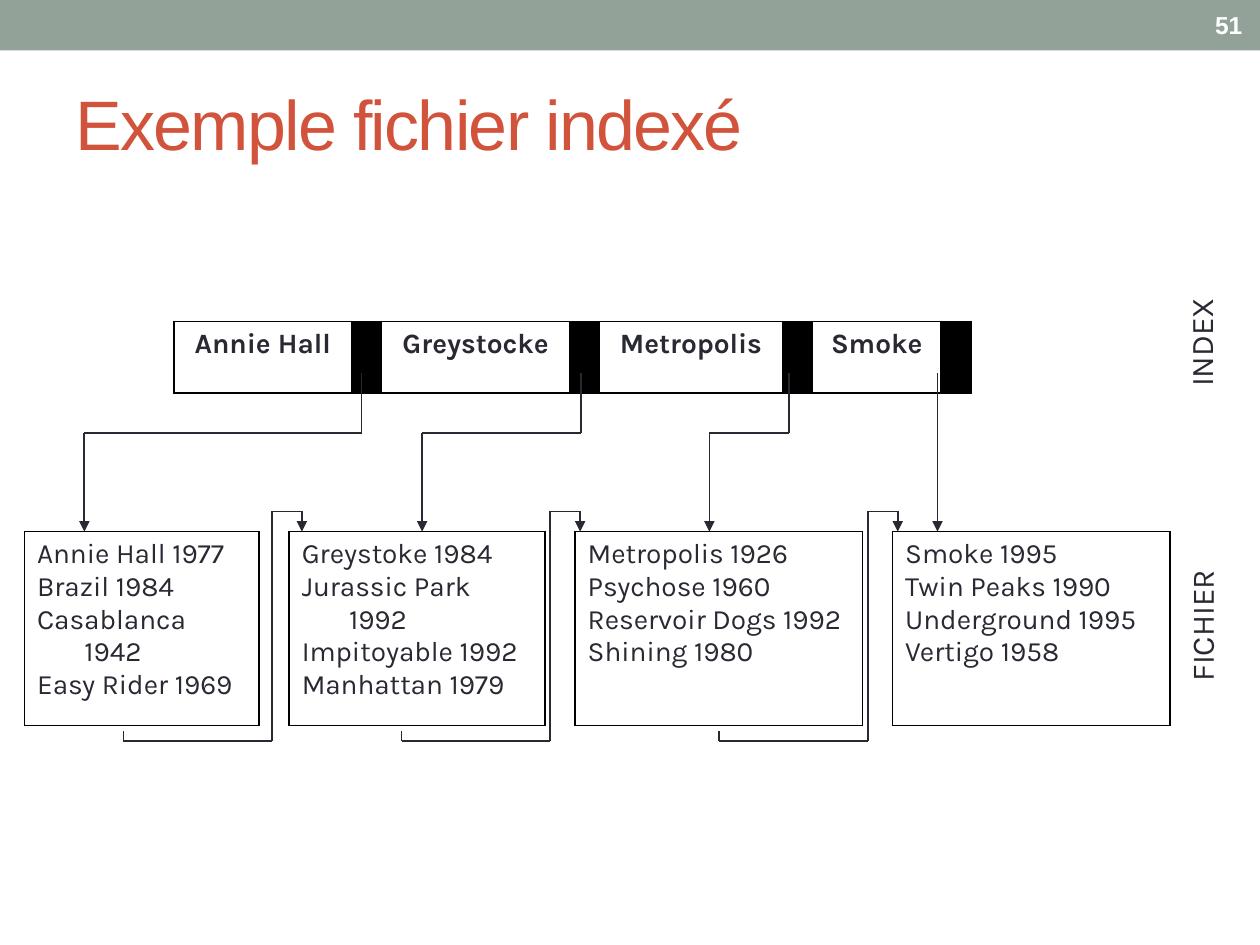
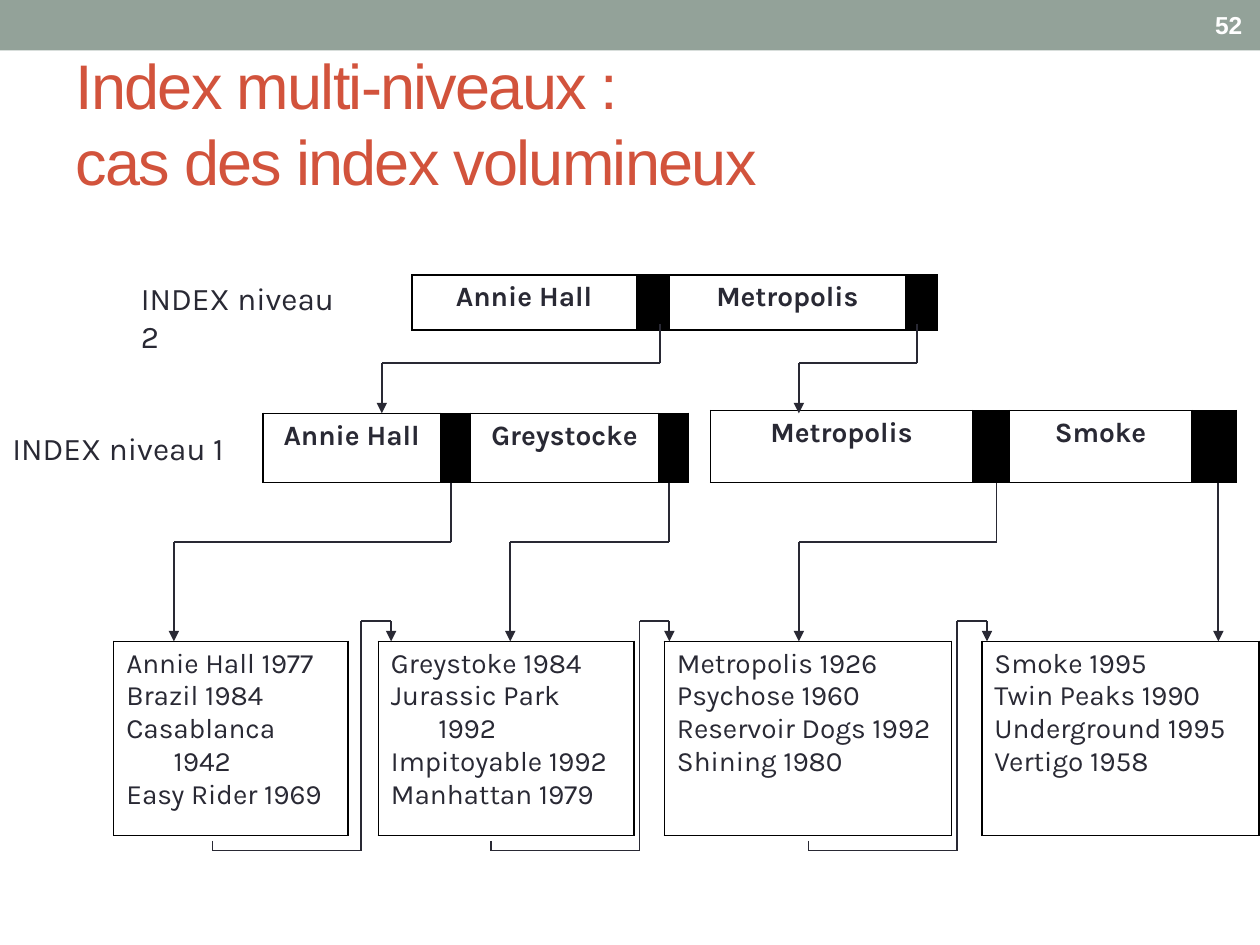
from dataclasses import dataclass
from lxml.etree import SubElement as Sub
from pptx import Presentation
from pptx.dml.color import RGBColor as Rgb
from pptx.enum.shapes import MSO_CONNECTOR as Link, MSO_SHAPE as Kind
from pptx.enum.text import MSO_ANCHOR as Anchor, MSO_AUTO_SIZE as Fit, PP_ALIGN as Align
from pptx.oxml.ns import qn
from pptx.util import Pt


@dataclass(frozen=True)
class Theme:
    band: str = "93A299"
    title: str = "D2533C"
    ink: str = "292934"
    black: str = "000000"
    white: str = "FFFFFF"
    head: str = "Arial"
    body: str = "Karla"
    cell: int = 16
    label: int = 18
    number: int = 14
    hang: int = 27


T = Theme()
FILMS = [
    ["Annie Hall 1977", "Brazil 1984", "Casablanca 1942", "Easy Rider 1969"],
    ["Greystoke 1984", "Jurassic Park 1992", "Impitoyable 1992", "Manhattan 1979"],
    ["Metropolis 1926", "Psychose 1960", "Reservoir Dogs 1992", "Shining 1980"],
    ["Smoke 1995", "Twin Peaks 1990", "Underground 1995", "Vertigo 1958"],
]
WIDTHS = [134, 146.2, 164.2, 158.4]
GAP = 16.6
FILE_HIGH = 110.9


def write(frame, lines, size, color=T.ink, font=T.body, bold=False,
          align=Align.LEFT, hang=0, space=0):
    for i, line in enumerate(lines):
        para = frame.add_paragraph() if i else frame.paragraphs[0]
        para.text = line
        para.alignment = align
        if hang:
            props = para._p.get_or_add_pPr()
            props.set("marL", str(Pt(hang)))
            props.set("indent", str(-Pt(hang)))
        for run in para.runs:
            run.font.name = font
            run.font.size = Pt(size)
            run.font.bold = bold
            run.font.color.rgb = Rgb.from_string(color)
            if space:
                run._r.get_or_add_rPr().set("spc", str(space * 100))
        for stop in para._p.findall(qn("a:br")):
            Sub(stop, qn("a:rPr"), sz=str(size * 100))


def label(slide, text, x, y, w, h, turn=0, wrap=False, right=7.2,
          anchor=Anchor.TOP, **form):
    box = slide.shapes.add_textbox(Pt(x), Pt(y), Pt(w), Pt(h))
    box.rotation = turn
    frame = box.text_frame
    frame.word_wrap = wrap
    frame.margin_right = Pt(right)
    frame.vertical_anchor = anchor
    write(frame, [text], **form)


def start(deck, title, size, number):
    slide = deck.slides.add_slide(deck.slide_layouts[5])
    band = slide.shapes.add_shape(Kind.RECTANGLE, 0, 0, Pt(720), Pt(28.8))
    band.shadow.inherit = False
    band.fill.solid()
    band.fill.fore_color.rgb = Rgb.from_string(T.band)
    band.line.fill.background()
    head = slide.shapes.title
    head.left, head.top, head.width, head.height = Pt(36), Pt(31), Pt(648), Pt(78)
    head.text_frame.auto_size = Fit.NONE
    head.text_frame.vertical_anchor = Anchor.MIDDLE
    write(head.text_frame, [title], size, T.title, T.head, space=-1)
    label(slide, str(number), 633, 1.4, 84, 26, anchor=Anchor.MIDDLE, wrap=True,
          size=T.number, color=T.white, font=T.head, bold=True, align=Align.RIGHT)
    return slide


def edge(cell, sides):
    props = cell._tc.get_or_add_tcPr()
    for i, side in enumerate("LRTB"):
        line = props.makeelement(qn("a:ln" + side), {"w": str(Pt(1))})
        if side in sides:
            fill = Sub(line, qn("a:solidFill"))
            Sub(fill, qn("a:srgbClr"), val=T.black)
        else:
            Sub(line, qn("a:noFill"))
        props.insert(i, line)


def grid(slide, x, y, cols, high):
    shape = slide.shapes.add_table(1, len(cols), Pt(x), Pt(y), Pt(sum(cols)), Pt(high))
    table = shape.table
    table.first_row = table.horz_banding = False
    table.rows[0].height = Pt(high)
    for col, wide in zip(table.columns, cols):
        col.width = Pt(wide)
    for cell in table.rows[0].cells:
        cell.fill.background()
    return list(table.rows[0].cells)


def index(slide, x, y, cols, high, keys):
    cells = grid(slide, x, y, cols, high)
    for key, cell in zip(keys, cells[::2]):
        write(cell.text_frame, [key], T.cell, bold=True, align=Align.CENTER, hang=T.hang)
    for cell in cells[1::2]:
        cell.fill.solid()
        cell.fill.fore_color.rgb = Rgb.from_string(T.black)
    for cell in cells:
        edge(cell, "LRTB")


def route(slide, *points):
    for i, (a, b) in enumerate(zip(points, points[1:]), 2):
        line = slide.shapes.add_connector(Link.STRAIGHT, *map(Pt, a + b))
        line.line.color.rgb = Rgb.from_string(T.ink)
        line.line.width = Pt(1)
        props = line._element.spPr
        if i == len(points):
            Sub(props.find(qn("a:ln")), qn("a:tailEnd"), type="triangle")
        Sub(props, qn("a:effectLst"))


def drop(slide, pairs, top, bend, end):
    for a, b in pairs:
        if a == b:
            route(slide, (a, top), (a, end))
        else:
            route(slide, (a, top), (a, bend), (b, bend), (b, end))


def store(slide, x, y):
    cols = [WIDTHS[0]]
    for wide in WIDTHS[1:]:
        cols += [GAP, wide]
    cells = grid(slide, x, y, cols, FILE_HIGH)
    for films, cell in zip(FILMS, cells[::2]):
        write(cell.text_frame, films, T.cell, hang=T.hang)
        edge(cell, "LRTB")
    for cell in cells[1::2]:
        edge(cell, "LR")
    for step in (56.5, 215.5, 397):
        a = x + step
        b, c = a + 85, a + 102
        low, high = y + 119.5, y - 11.5
        route(slide, (a, y + 114), (a, low), (b, low), (b, high), (c, high), (c, y))


def simple(deck):
    slide = start(deck, "Exemple fichier indexé", 40, 51)
    index(slide, 99.4, 183.6, [101.5, GAP, 107.3, GAP, 104.4, GAP, 73.4, 17.3], 41,
          ["Annie Hall", "Greystocke", "Metropolis", "Smoke"])
    store(slide, 14, 303.8)
    drop(slide, [(206.6, 48.2), (331.9, 241.2), (450.7, 405.4), (535.7, 535.7)],
         213.1, 247.5, 303.8)
    label(slide, "INDEX", 653, 180.7, 66.2, 28.8, turn=-90, size=T.label)
    label(slide, "FICHIER", 645.8, 341.3, 81.4, 28.8, turn=-90, size=T.label)


def multi(deck):
    slide = start(deck, "Index multi-niveaux :\ncas des index volumineux", 36, 52)
    index(slide, 406, 234.7, [149.8, 20.9, 104.4, 25.2], 41, ["Metropolis", "Smoke"])
    index(slide, 150.2, 236.2, [101.5, GAP, 107.3, GAP], 39.6, ["Annie Hall", "Greystocke"])
    store(slide, 65, 366.5)
    drop(slide, [(257.8, 99.4), (382.3, 291.6), (569.5, 456.5), (696.2, 696.2)],
         275.8, 309.6, 366.5)
    index(slide, 235.4, 157, [128.2, 18.7, 135.4, 18], 31.7, ["Annie Hall", "Metropolis"])
    drop(slide, [(377.3, 218.2), (524.2, 456.5)], 185, 207.4, 236.2)
    label(slide, "INDEX niveau 2", 73.4, 156.2, 139, 28.8, wrap=True, right=18, size=T.label)
    label(slide, "INDEX niveau 1", 0, 241.9, 139, 28.8, size=T.label)


def main():
    deck = Presentation()
    deck.slide_width, deck.slide_height = Pt(720), Pt(540)
    simple(deck)
    multi(deck)
    deck.save("out.pptx")


main()
